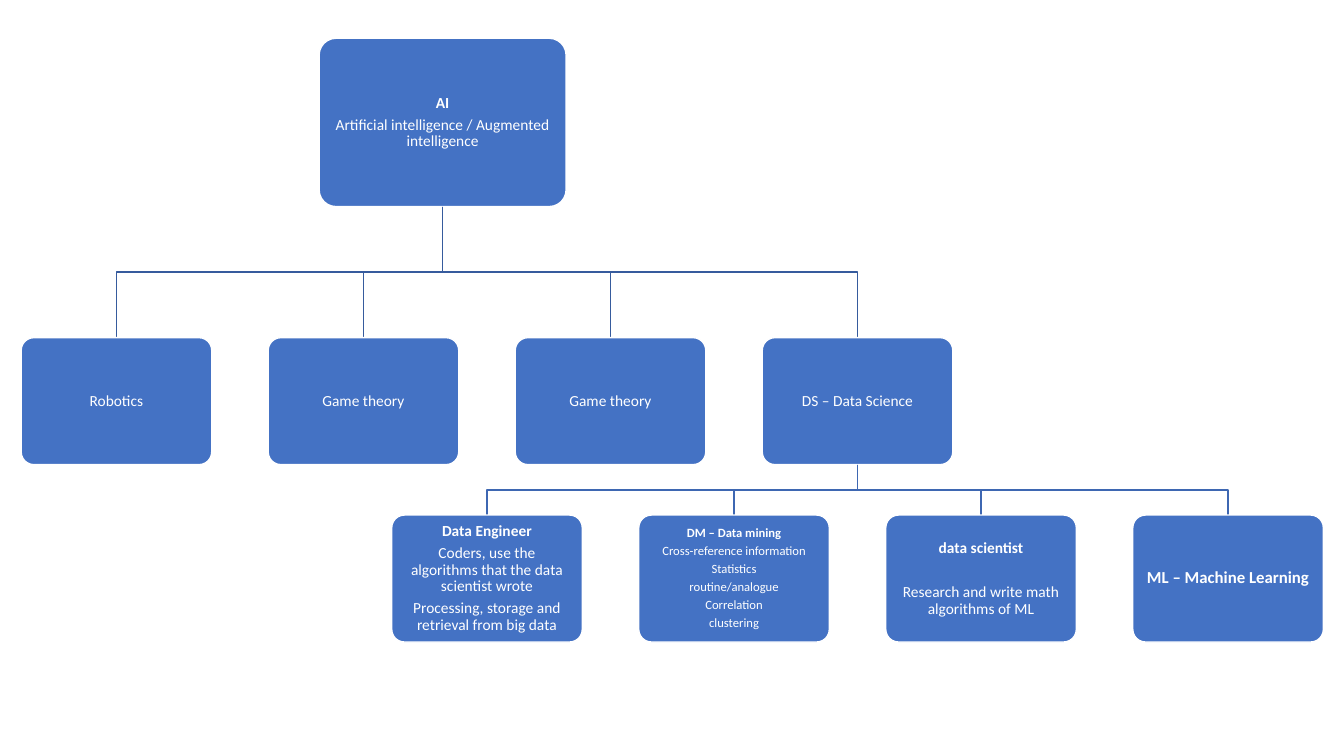
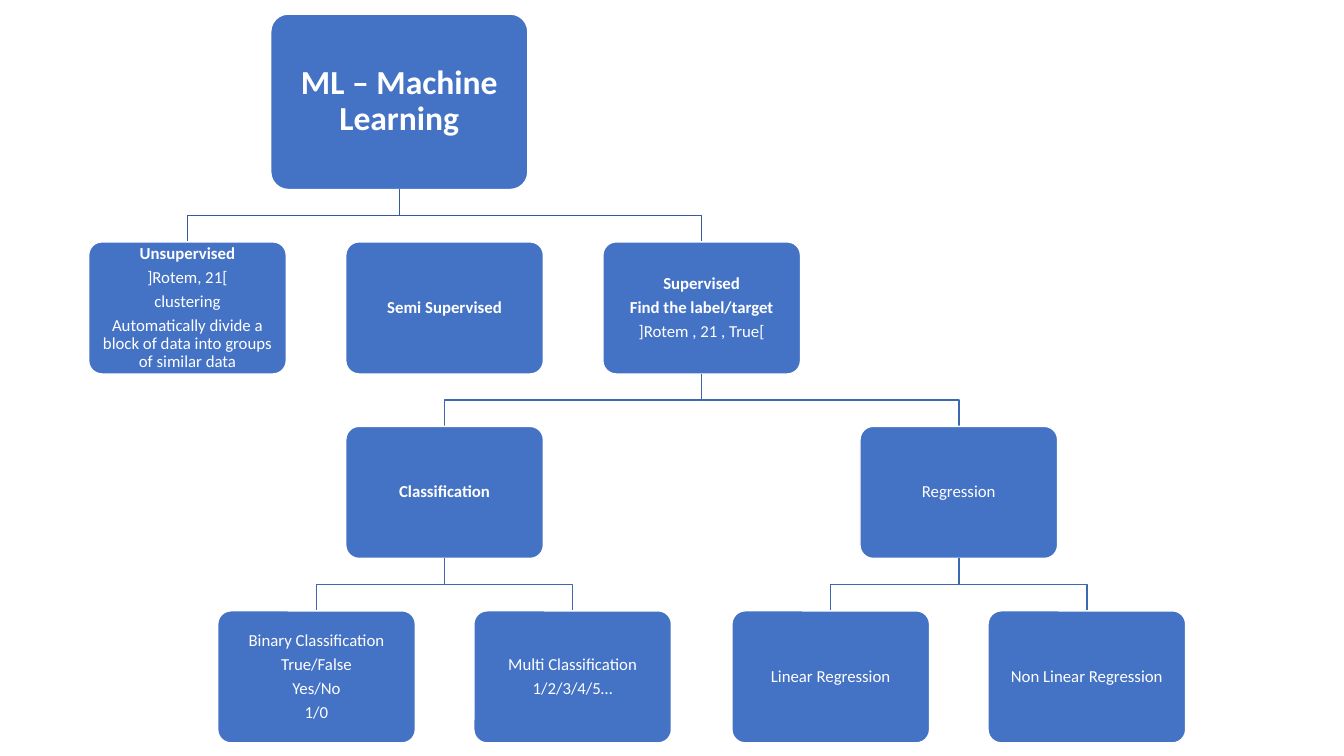
from dataclasses import dataclass

from pptx import Presentation
from pptx.dml.color import RGBColor
from pptx.enum.shapes import MSO_SHAPE
from pptx.enum.text import MSO_ANCHOR, PP_ALIGN
from pptx.util import Inches, Pt

ROUNDED = MSO_SHAPE.ROUNDED_RECTANGLE
MIDDLE = MSO_ANCHOR.MIDDLE
CENTER = PP_ALIGN.CENTER

# Shared style
FONT = "Calibri"
BLUE, WHITE = "4472C4", "FFFFFF"
UPPER_LINK, LOWER_LINK = "365B9D", "3E67B2"
LINE_SPACING = 0.9
SPACE_AFTER = 0.35  # share of the text size
BLANK_LAYOUT = 6


@dataclass
class Node:
    """Wording of one box; the first `bold` lines are bold."""
    lines: list
    size: int
    bold: int = 0
    inset: float = 0.09
    heading_gap: float = SPACE_AFTER
    linked: bool = True


@dataclass
class Box:
    """Place of a drawn box, in inches."""
    center: float
    bottom: float


@dataclass
class Row:
    """One level of a tree: shared box measures, spacing and link colour."""
    top: float
    width: float
    height: float
    pitch: float = 0
    link: str = LOWER_LINK


def color(hex_text):
    return RGBColor.from_string(hex_text)


def set_line(shape, hex_text):
    shape.line.color.rgb = color(hex_text)
    shape.line.width = Pt(1)
    shape.shadow.inherit = False


def write_lines(frame, node):
    inset = Inches(node.inset)
    frame_format = {
        "word_wrap": True, "vertical_anchor": MIDDLE,
        "margin_left": inset, "margin_right": inset,
        "margin_top": inset, "margin_bottom": inset,
    }
    for name, value in frame_format.items():
        setattr(frame, name, value)
    for index, line in enumerate(node.lines):
        para = frame.paragraphs[0] if index == 0 else frame.add_paragraph()
        gap = node.heading_gap if index == 0 else SPACE_AFTER
        para_format = {
            "alignment": CENTER, "line_spacing": LINE_SPACING,
            "space_after": Pt(gap * node.size),
        }
        for name, value in para_format.items():
            setattr(para, name, value)
        span = para.add_run()
        span.text = line
        span_format = {"name": FONT, "size": Pt(node.size), "bold": index < node.bold}
        for name, value in span_format.items():
            setattr(span.font, name, value)
        span.font.color.rgb = color(WHITE)


def add_box(page, center, row, node):
    shape = page.shapes.add_shape(
        ROUNDED, Inches(center - row.width / 2), Inches(row.top),
        Inches(row.width), Inches(row.height))
    shape.adjustments[0] = 0.1
    shape.fill.solid()
    shape.fill.fore_color.rgb = color(BLUE)
    set_line(shape, WHITE)
    write_lines(shape.text_frame, node)
    return Box(center, row.top + row.height)


def add_link(page, parent, center, row):
    """Right-angled line from the foot of the parent to the top of a child."""
    bend = (parent.bottom + row.top) / 2
    corners = [(parent.center, bend), (center, bend), (center, row.top)]
    builder = page.shapes.build_freeform(Inches(parent.center), Inches(parent.bottom))
    builder.add_line_segments([(Inches(x), Inches(y)) for x, y in corners], close=False)
    shape = builder.convert_to_shape()
    shape.fill.background()
    set_line(shape, row.link)


def add_children(page, parent, row, nodes, middle=None):
    """Spread children evenly around the parent, or around another middle."""
    middle = parent.center if middle is None else middle
    first = middle - row.pitch * (len(nodes) - 1) / 2
    centers = [first + row.pitch * index for index in range(len(nodes))]
    for center, node in zip(centers, nodes):
        if node.linked:
            add_link(page, parent, center, row)
    return [add_box(page, center, row, node) for center, node in zip(centers, nodes)]


def build_ai_tree(page):
    # Root
    root = add_box(page, 4.39, Row(0.38, 2.45, 1.67), Node(
        ["AI", "Artificial intelligence / Augmented intelligence"], 11, bold=1, inset=0.1))

    # Fields of AI
    fields = ["Robotics", "Game theory", "Game theory", "DS – Data Science"]
    *_, data_science = add_children(
        page, root, Row(3.35, 1.89, 1.26, 2.45, UPPER_LINK),
        [Node([field], 11) for field in fields], middle=4.83)

    # Roles within data science
    add_children(page, data_science, Row(5.11, 1.89, 1.26, 2.45), [
        Node(["Data Engineer",
              "Coders, use the algorithms that the data scientist wrote",
              "Processing, storage and retrieval from big data"], 11, bold=1),
        Node(["DM – Data mining", "Cross-reference information", "Statistics",
              "routine/analogue", "Correlation", "clustering"], 9, bold=1, inset=0.08),
        Node(["data scientist", "Research and write math algorithms of ML"], 11,
             bold=1, heading_gap=1.8),
        Node(["ML – Machine Learning"], 12, bold=1),
    ])


def build_learning_tree(page):
    width, height = 1.96, 1.31

    # Root
    root = add_box(page, 3.96, Row(0.14, 2.55, 1.74),
                   Node(["ML – Machine Learning"], 24, bold=1, inset=0.15))

    # Kinds of learning
    *_, supervised = add_children(page, root, Row(2.4, width, height, 2.55, UPPER_LINK), [
        Node(["Unsupervised", "]Rotem, 21[", "clustering",
              "Automatically divide a block of data into groups of similar data"],
             12, bold=1),
        Node(["Semi Supervised"], 12, bold=1, linked=False),
        Node(["Supervised", "Find the label/target", "]Rotem , 21 , True["], 12, bold=2),
    ], middle=4.41)

    # Supervised tasks
    classification, regression = add_children(
        page, supervised, Row(4.23, width, height, 5.1),
        [Node(["Classification"], 12, bold=1), Node(["Regression"], 12)])

    # Variants of each task
    variants = Row(6.06, width, height, 2.54)
    add_children(page, classification, variants, [
        Node(["Binary Classification", "True/False", "Yes/No", "1/0"], 12),
        Node(["Multi Classification", "1/2/3/4/5…"], 12),
    ])
    add_children(page, regression, variants, [
        Node(["Linear Regression"], 12), Node(["Non Linear Regression"], 12)])


def main():
    deck = Presentation()
    deck.slide_width, deck.slide_height = Inches(13.33), Inches(7.5)
    for build in (build_ai_tree, build_learning_tree):
        build(deck.slides.add_slide(deck.slide_layouts[BLANK_LAYOUT]))
    deck.save("out.pptx")


main()
